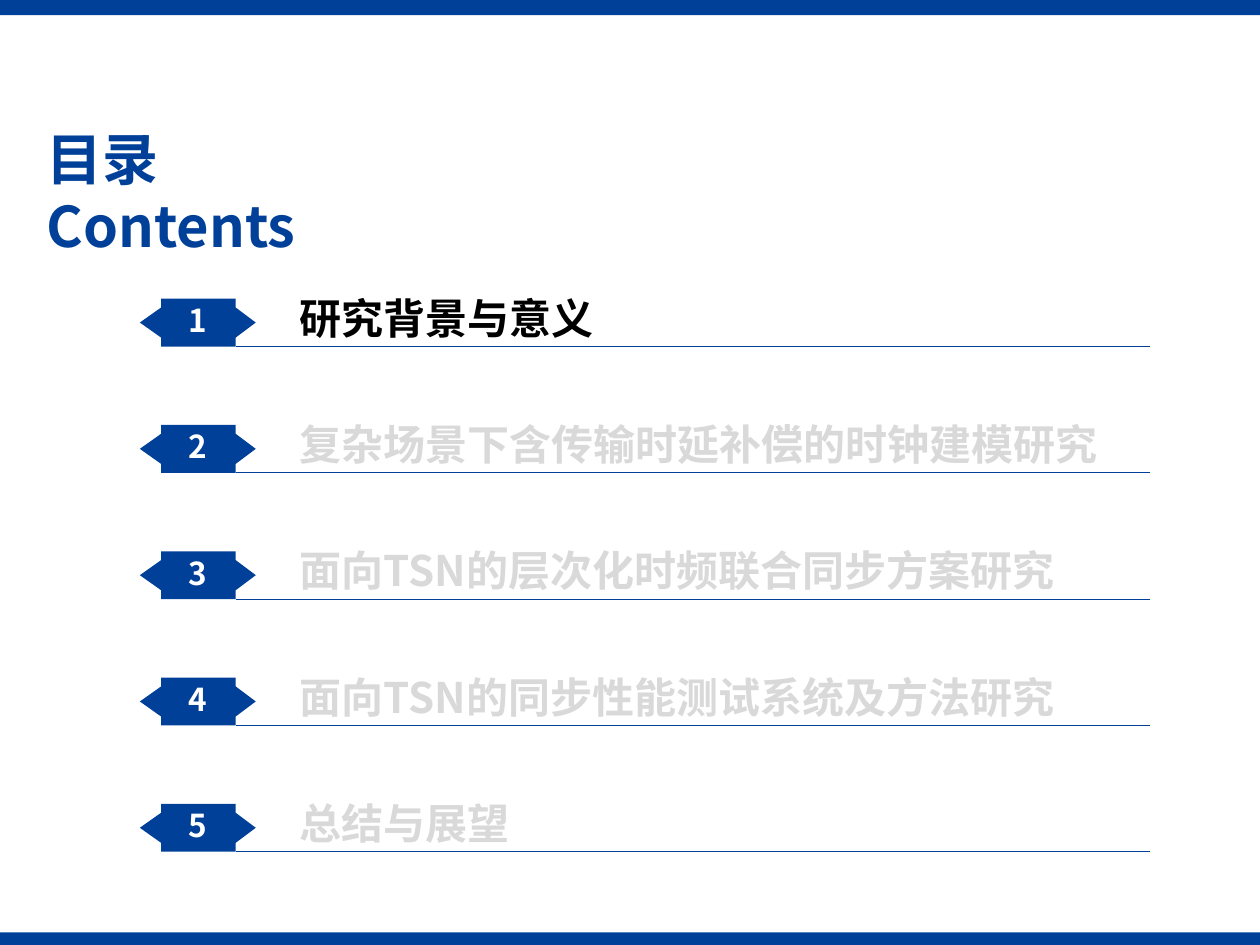
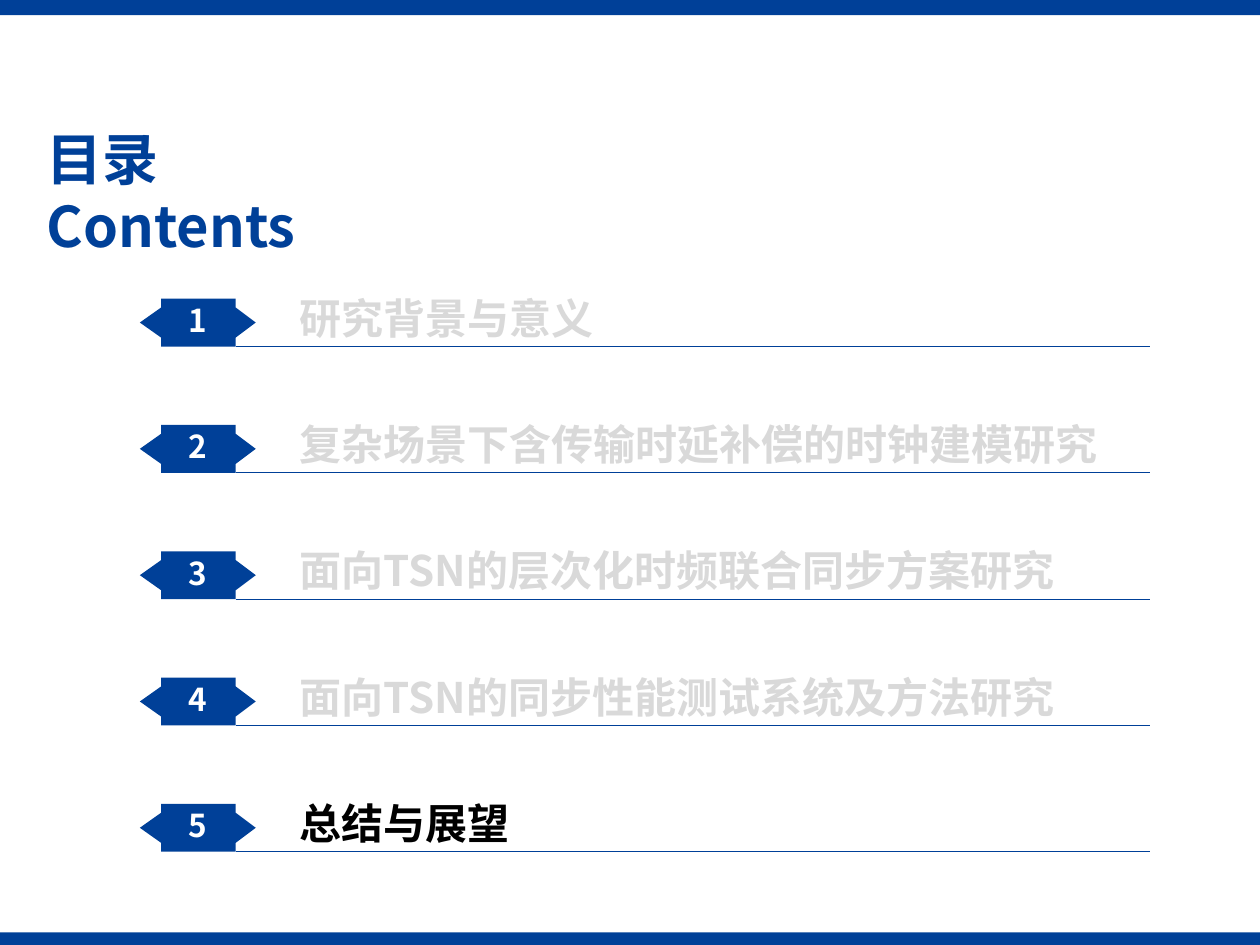
"""Build the contents slides, each highlighting one chapter."""
from lxml.etree import SubElement
from pptx import Presentation
from pptx.dml.color import RGBColor
from pptx.enum.shapes import MSO_CONNECTOR, MSO_SHAPE
from pptx.enum.text import MSO_ANCHOR, PP_ALIGN
from pptx.oxml.ns import qn
from pptx.util import Inches, Pt

COLORS = {"blue": "004098", "white": "FFFFFF", "active": "000000", "muted": "D9D9D9"}
FONT = "Noto Sans CJK SC"
CHAPTERS = [
    "研究背景与意义",
    "复杂场景下含传输时延补偿的时钟建模研究",
    "面向TSN的层次化时频联合同步方案研究",
    "面向TSN的同步性能测试系统及方法研究",
    "总结与展望",
]
ACTIVE_CHAPTERS = [1, 5]
FIRST_TOP, LAST_TOP = 2.37, 6.38
ROW_PITCH = (LAST_TOP - FIRST_TOP) / (len(CHAPTERS) - 1)
BADGE_HEIGHT = 0.38
BADGE_OUTLINE = [
    (1.87, 0), (1.28, 0), (1.28, 0.07), (1.11, 0.19), (1.28, 0.31),
    (1.28, 0.38), (1.87, 0.38), (1.87, 0.31), (2.03, 0.19), (1.87, 0.07),
]


class ContentsDeck:
    def __init__(self):
        self.presentation = Presentation()
        self.presentation.slide_width = Inches(10)
        self.presentation.slide_height = Inches(7.5)
        self.slide = None

    def color(self, name):
        return RGBColor.from_string(COLORS[name])

    def add_slide(self):
        self.slide = self.presentation.slides.add_slide(self.presentation.slide_layouts[6])
        self.band(7.4, 0.1)
        self.band(0, 0.12)

    def paint(self, shape):
        shape.shadow.inherit = False
        shape.fill.solid()
        shape.fill.fore_color.rgb = self.color("blue")
        shape.line.fill.background()

    def band(self, top, height):
        self.paint(self.slide.shapes.add_shape(
            MSO_SHAPE.RECTANGLE, 0, Inches(top), Inches(10), Inches(height)))

    def badge(self, top):
        points = [(Inches(x), Inches(top + y)) for x, y in BADGE_OUTLINE]
        builder = self.slide.shapes.build_freeform(*points[0])
        builder.add_line_segments(points[1:], close=True)
        self.paint(builder.convert_to_shape())

    def text(self, text, left, top, width, height, size, color,
             wrap=False, align=PP_ALIGN.LEFT, anchor=MSO_ANCHOR.TOP):
        box = self.slide.shapes.add_textbox(
            Inches(left), Inches(top), Inches(width), Inches(height))
        frame = box.text_frame
        frame.word_wrap = wrap
        frame.vertical_anchor = anchor
        paragraph = frame.paragraphs[0]
        paragraph.text = text
        paragraph.alignment = align
        font = paragraph.font
        font.size = Pt(size)
        font.bold = True
        font.color.rgb = self.color(color)
        font.name = FONT
        properties = paragraph._p.get_or_add_pPr().find(qn("a:defRPr"))
        SubElement(properties, qn("a:ea")).set("typeface", FONT)

    def rule(self, top):
        connector = self.slide.shapes.add_connector(
            MSO_CONNECTOR.STRAIGHT, Inches(1.87), Inches(top), Inches(9.13), Inches(top))
        connector.line.color.rgb = self.color("blue")
        connector.line.width = Pt(0.5)
        SubElement(connector._element.spPr, qn("a:effectLst"))

    def chapter(self, number, title, active):
        top = FIRST_TOP + (number - 1) * ROW_PITCH
        self.badge(top)
        self.text(str(number), 1.36, top - 0.07, 0.42, 0.48, 18, "white",
                  align=PP_ALIGN.CENTER, anchor=MSO_ANCHOR.MIDDLE)
        self.rule(top + BADGE_HEIGHT)
        self.text(title, 2.28, top - 0.1, 6.84, 0.5, 24,
                  "active" if active else "muted", wrap=True)

    def contents(self, active_number):
        self.add_slide()
        for number, title in enumerate(CHAPTERS, start=1):
            self.chapter(number, title, number == active_number)
        self.text("目录\vContents", 0.27, 0.94, 3.26, 0.64, 32, "blue")


def main():
    deck = ContentsDeck()
    for active_number in ACTIVE_CHAPTERS:
        deck.contents(active_number)
    deck.presentation.save("out.pptx")


if __name__ == "__main__":
    main()
